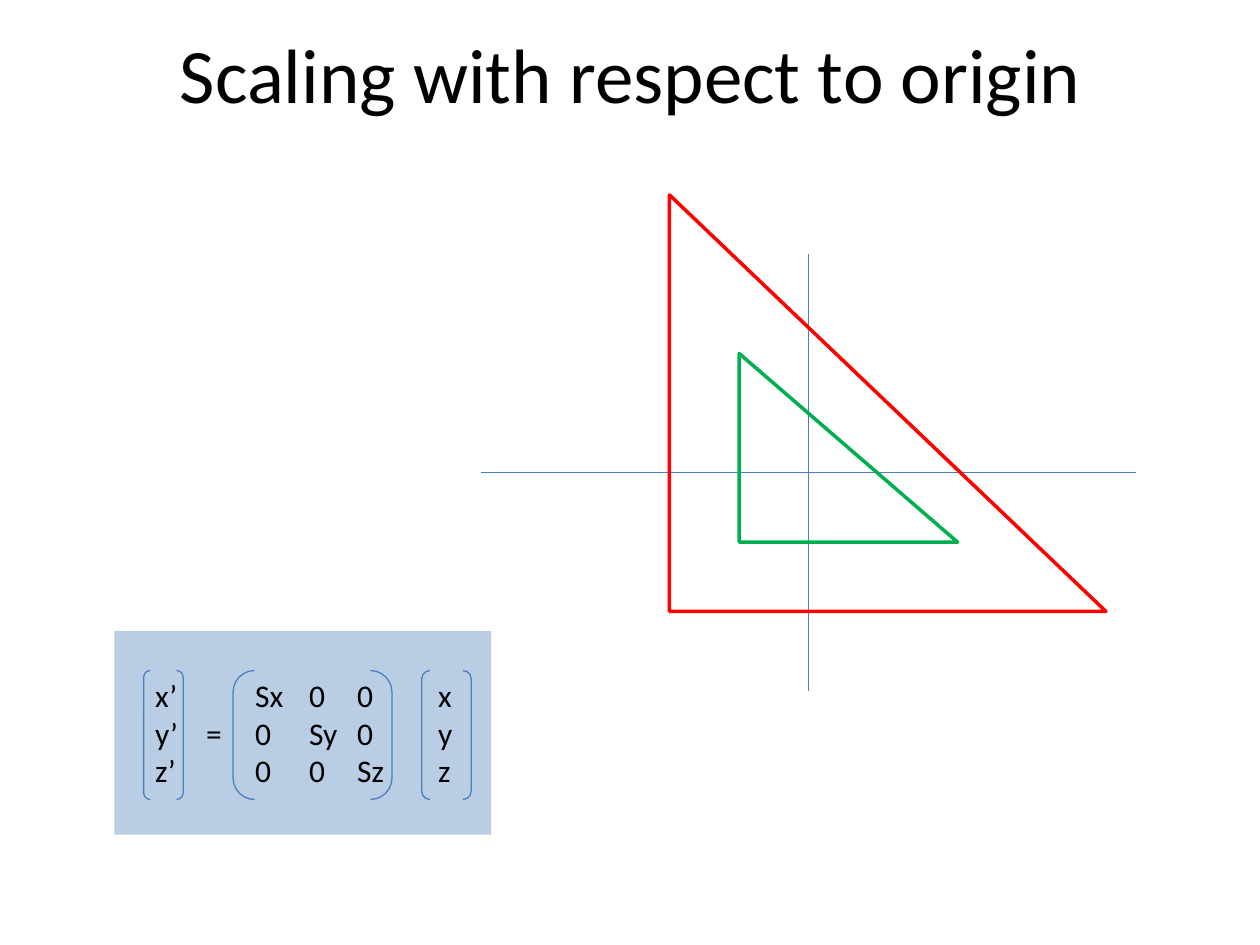
from dataclasses import dataclass

from lxml import etree
from pptx import Presentation
from pptx.dml.color import RGBColor
from pptx.enum.shapes import MSO_CONNECTOR, MSO_SHAPE
from pptx.enum.text import MSO_ANCHOR, PP_ALIGN
from pptx.oxml.ns import qn
from pptx.util import Pt

STRAIGHT = MSO_CONNECTOR.STRAIGHT
RECTANGLE = MSO_SHAPE.RECTANGLE
BRACKETS = MSO_SHAPE.DOUBLE_BRACKET
RIGHT_TRIANGLE = MSO_SHAPE.RIGHT_TRIANGLE
TOP, MIDDLE = MSO_ANCHOR.TOP, MSO_ANCHOR.MIDDLE
LEFT, CENTER = PP_ALIGN.LEFT, PP_ALIGN.CENTER

BLACK = RGBColor(0x00, 0x00, 0x00)
PALE_BLUE = RGBColor(0xB9, 0xCD, 0xE5)
BLUE = RGBColor(0x4B, 0x7E, 0xBC)
GREEN = RGBColor(0x00, 0xB0, 0x50)
RED = RGBColor(0xFF, 0x00, 0x00)
FONT = "Calibri"


@dataclass(frozen=True)
class Outline:
    kind: MSO_SHAPE
    left: float
    top: float
    width: float
    height: float
    color: RGBColor
    weight: float


@dataclass(frozen=True)
class Axis:
    x1: float
    y1: float
    x2: float
    y2: float


def format_paragraph(paragraph, size: float, alignment: PP_ALIGN) -> None:
    paragraph.alignment = alignment
    for run in paragraph.runs:
        run.font.name = FONT
        run.font.size = Pt(size)
        run.font.color.rgb = BLACK


def draw_outline(shapes, outline: Outline) -> None:
    shape = shapes.add_shape(outline.kind, Pt(outline.left), Pt(outline.top),
                             Pt(outline.width), Pt(outline.height))
    shape.shadow.inherit = False
    shape.fill.background()
    shape.line.color.rgb = outline.color
    shape.line.width = Pt(outline.weight)


def draw_axis(shapes, axis: Axis) -> None:
    line = shapes.add_connector(STRAIGHT, Pt(axis.x1), Pt(axis.y1), Pt(axis.x2), Pt(axis.y2))
    line.line.color.rgb = BLUE
    line.line.width = Pt(0.75)
    etree.SubElement(line._element.spPr, qn("a:effectLst"))


def set_tab_stops(paragraph, stops: tuple[float, ...]) -> None:
    tab_list = etree.SubElement(paragraph._p.get_or_add_pPr(), qn("a:tabLst"))
    for stop in stops:
        etree.SubElement(tab_list, qn("a:tab"), pos=str(Pt(stop)), algn="l")


def draw_equation(shapes, rows: tuple[str, ...], stops: tuple[float, ...]) -> None:
    panel = shapes.add_shape(RECTANGLE, Pt(65.3), Pt(360.7), Pt(215.3), Pt(116.3))
    panel.shadow.inherit = False
    panel.fill.solid()
    panel.fill.fore_color.rgb = PALE_BLUE
    panel.line.fill.background()
    frame = panel.text_frame
    frame.word_wrap = True
    frame.vertical_anchor = TOP
    frame.margin_top = Pt(25.5)
    frame.text = "\n".join(rows)
    for paragraph in frame.paragraphs:
        format_paragraph(paragraph, 18, LEFT)
        set_tab_stops(paragraph, stops)


EQUATION_ROWS = (
    "\tx’\t\tSx\t0\t0\tx",
    "\ty’\t=\t0\tSy\t0\ty",
    "\tz’\t\t0\t0\tSz\tz",
)
EQUATION_STOPS = (16.2, 45.4, 73.4, 104.2, 131.7, 178)
MATRIX_SPANS = ((82.1, 22.6), (133.2, 90.8), (241, 28.3))
AXES = (Axis(462, 145.2, 462, 394.6), Axis(275, 270, 649.2, 270))
TRIANGLES = (
    Outline(RIGHT_TRIANGLE, 422.4, 202, 124.8, 107.8, GREEN, 2),
    Outline(RIGHT_TRIANGLE, 382.6, 111.4, 249.4, 238, RED, 2),
)

presentation = Presentation()
presentation.slide_width = Pt(720)
presentation.slide_height = Pt(540)
slide = presentation.slides.add_slide(presentation.slide_layouts[5])

title = slide.shapes.title
title.left, title.top, title.width, title.height = Pt(36.5), Pt(0), Pt(648), Pt(83)
title.text_frame.text = "Scaling with respect to origin"
title.text_frame.vertical_anchor = MIDDLE
format_paragraph(title.text_frame.paragraphs[0], 44, CENTER)

draw_equation(slide.shapes, EQUATION_ROWS, EQUATION_STOPS)
for left, width in MATRIX_SPANS:
    draw_outline(slide.shapes, Outline(BRACKETS, left, 383.2, width, 73.7, BLUE, 0.75))
for axis in AXES:
    draw_axis(slide.shapes, axis)
for triangle in TRIANGLES:
    draw_outline(slide.shapes, triangle)

presentation.save("out.pptx")
